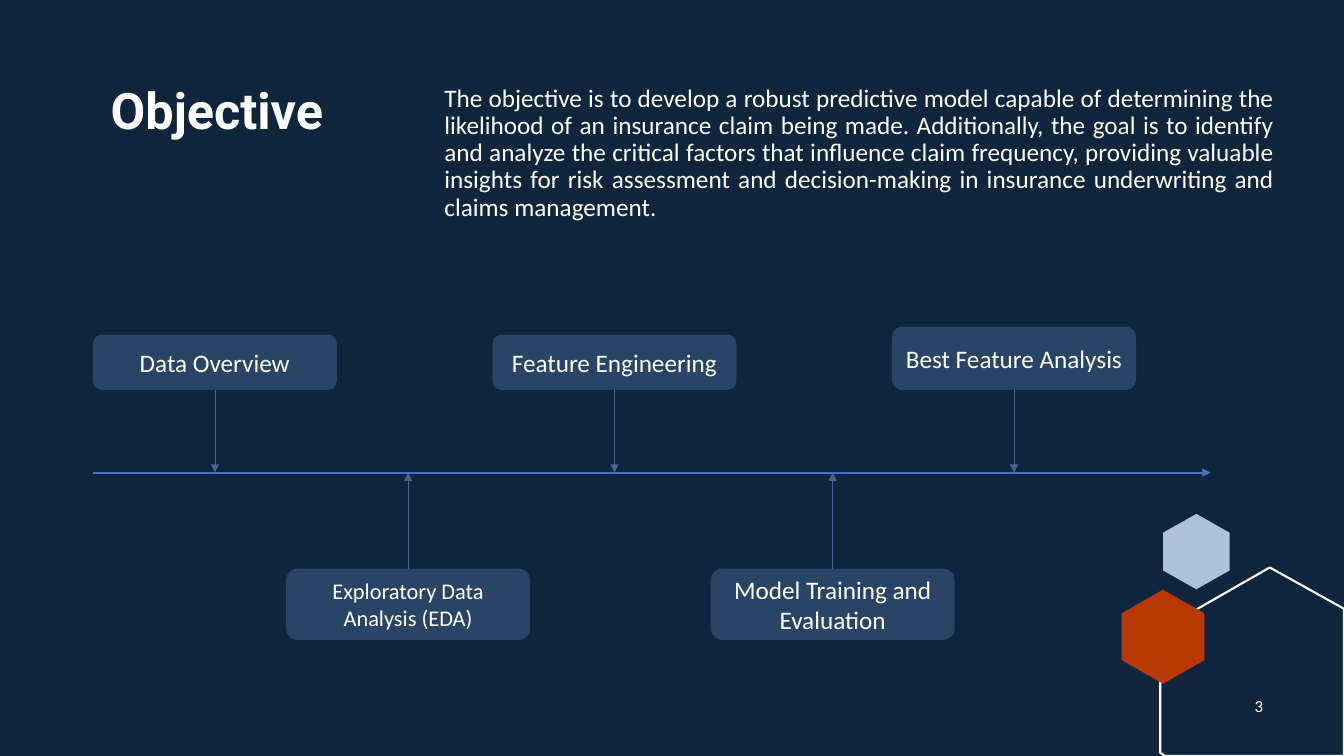
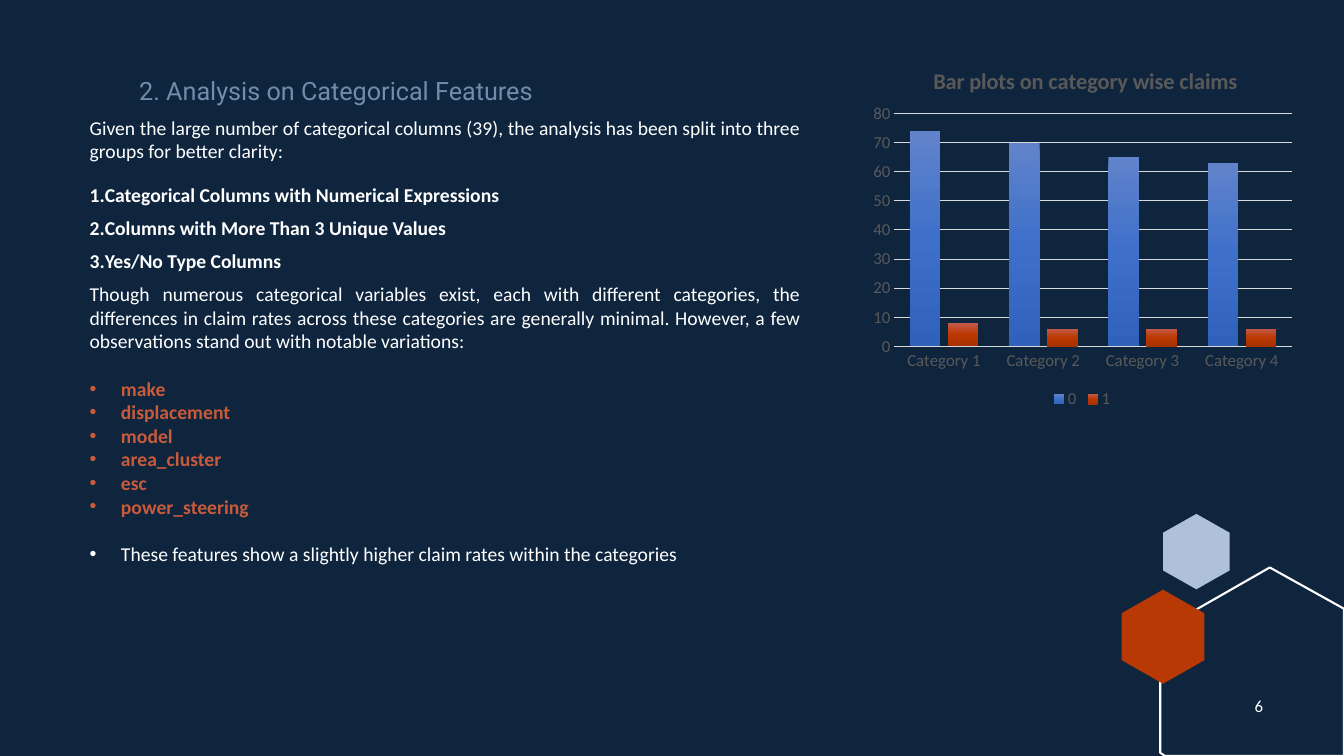
from copy import deepcopy
from dataclasses import dataclass, field
from typing import Any

from lxml.etree import SubElement
from pptx import Presentation
from pptx.chart.data import CategoryChartData
from pptx.dml.color import RGBColor
from pptx.enum.chart import XL_CHART_TYPE as ChartType
from pptx.enum.chart import XL_LEGEND_POSITION as LegendPosition
from pptx.enum.chart import XL_TICK_MARK as TickMark
from pptx.enum.shapes import MSO_CONNECTOR as Connector
from pptx.enum.shapes import MSO_SHAPE as Shape
from pptx.enum.text import MSO_ANCHOR as Anchor
from pptx.enum.text import PP_ALIGN as Align
from pptx.oxml import parse_xml
from pptx.oxml.ns import nsdecls, qn
from pptx.util import Cm, Pt

# Colours and fonts
NAVY = RGBColor(0x0F, 0x25, 0x3E)
WHITE = RGBColor(0xFF, 0xFF, 0xFF)
PALE_BLUE = RGBColor(0xAE, 0xC1, 0xD8)
ORANGE = RGBColor(0xB8, 0x39, 0x03)
STEEL = RGBColor(0x44, 0x66, 0x8D)
AXIS_BLUE = RGBColor(0x44, 0x72, 0xC4)
HEADING_BLUE = RGBColor(0x72, 0x8D, 0xAB)
RUST = RGBColor(0xC9, 0x5B, 0x3A)
LABEL_GREY = RGBColor(0x59, 0x59, 0x59)
GRID_GREY = RGBColor(0xD9, 0xD9, 0xD9)
NO_CLAIM_GRADIENT = (RGBColor(0x61, 0x83, 0xCB), RGBColor(0x3E, 0x70, 0xCA), RGBColor(0x30, 0x62, 0xBB))
CLAIM_GRADIENT = (RGBColor(0xC3, 0x5A, 0x4B), RGBColor(0xBB, 0x38, 0x00), RGBColor(0xA6, 0x32, 0x00))

BODY_FONT, TITLE_FONT = "Calibri", "Roboto"
SLIDE_WIDTH, SLIDE_HEIGHT = 33.87, 19.05
TIMELINE_Y = 11.91
STEP_WIDTH = 6.15


@dataclass
class Area:
    left: float
    top: float
    width: float
    height: float

    def lengths(self) -> tuple:
        return Cm(self.left), Cm(self.top), Cm(self.width), Cm(self.height)


@dataclass
class Para:
    text: str
    size: float = 14
    color: RGBColor = WHITE
    bold: bool = False
    font: str = BODY_FONT
    bullet: str = ""
    layout: dict[str, Any] = field(default_factory=dict)


@dataclass
class Step:
    label: str
    area: Area
    size: float = 18


@dataclass
class ClaimSeries:
    name: str
    values: tuple[float, ...]
    gradient: tuple[RGBColor, ...]


# Shared helpers
def apply(target: Any, formats: dict[str, Any]) -> None:
    for name, value in formats.items():
        setattr(target, name, value)


def style_font(font: Any, size: float, color: RGBColor, bold: bool = False, name: str = BODY_FONT) -> None:
    apply(font, {"size": Pt(size), "bold": bold, "name": name})
    font.color.rgb = color


def add_bullet(paragraph: Any, bullet: str) -> None:
    props = paragraph._p.get_or_add_pPr()
    if bullet == "number":
        apply_indent = (0, 0)
        SubElement(props, qn("a:buAutoNum"), type="arabicPeriod")
    else:
        apply_indent = (Cm(0.79), -Cm(0.79))
        SubElement(props, qn("a:buFont"), typeface="Arial")
        SubElement(props, qn("a:buChar"), char=bullet)
    for name, value in zip(("marL", "indent"), apply_indent):
        props.set(name, str(int(value)))


def write(frame: Any, paras: list[Para], anchor: Any = Anchor.TOP) -> None:
    apply(frame, {"word_wrap": True, "vertical_anchor": anchor})
    for index, para in enumerate(paras):
        paragraph = frame.paragraphs[0] if index == 0 else frame.add_paragraph()
        apply(paragraph, para.layout)
        if para.bullet:
            add_bullet(paragraph, para.bullet)
        run = paragraph.add_run()
        run.text = para.text
        style_font(run.font, para.size, para.color, para.bold, para.font)


def add_text(slide: Any, area: Area, paras: list[Para], anchor: Any = Anchor.TOP) -> None:
    write(slide.shapes.add_textbox(*area.lengths()).text_frame, paras, anchor)


def add_arrow(slide: Any, start: tuple, end: tuple, color: RGBColor, width: float) -> None:
    arrow = slide.shapes.add_connector(Connector.STRAIGHT, *map(Cm, start + end))
    arrow.line.color.rgb = color
    arrow.line.width = Pt(width)
    SubElement(arrow.line._get_or_add_ln(), qn("a:tailEnd"), type="triangle")
    SubElement(arrow._element.spPr, qn("a:effectLst"))


# Shared hexagon corner and page number
def add_outline(slide: Any, points: list[tuple], fill: RGBColor | None = None) -> None:
    corners = [(Cm(x), Cm(y)) for x, y in points]
    builder = slide.shapes.build_freeform(*corners[0])
    builder.add_line_segments(corners[1:], close=True)
    outline = builder.convert_to_shape()
    outline.shadow.inherit = False
    if fill is None:
        outline.fill.background()
        outline.line.color.rgb = WHITE
        outline.line.width = Pt(1.5)
    else:
        outline.fill.solid()
        outline.fill.fore_color.rgb = fill
        outline.line.fill.background()


def hexagon(center: float, top: float, width: float, height: float) -> list[tuple]:
    left, right = center - width / 2, center + width / 2
    upper, lower = top + height / 4, top + height * 3 / 4
    return [(center, top), (right, upper), (right, lower),
            (center, top + height), (left, lower), (left, upper)]


def new_slide(deck: Any, number: int) -> Any:
    slide = deck.slides.add_slide(deck.slide_layouts[6])
    add_outline(slide, hexagon(30.15, 12.95, 1.68, 1.9), PALE_BLUE)
    add_outline(slide, [(32, 14.3), (SLIDE_WIDTH, 15.34), (SLIDE_WIDTH, SLIDE_HEIGHT),
                        (29.36, SLIDE_HEIGHT), (29.24, 18.97), (29.24, 15.88)])
    add_outline(slide, hexagon(29.31, 14.86, 2.08, 2.37), ORANGE)
    add_text(slide, Area(31.09, 17.27, 1.27, 1.02),
             [Para(str(number), 12, layout={"alignment": Align.CENTER})], Anchor.MIDDLE)
    return slide


# Objective slide
def add_step(slide: Any, step: Step) -> None:
    area = step.area
    box = slide.shapes.add_shape(Shape.ROUNDED_RECTANGLE, *area.lengths())
    box.shadow.inherit = False
    box.fill.solid()
    box.fill.fore_color.rgb = STEEL
    tint = box._element.spPr.find(qn("a:solidFill"))[0]
    SubElement(tint, qn("a:alpha"), val="50000")
    box.line.fill.background()
    write(box.text_frame, [Para(step.label, step.size, layout={"alignment": Align.CENTER})], Anchor.MIDDLE)
    center = area.left + area.width / 2
    edge = area.top + area.height if area.top < TIMELINE_Y else area.top
    add_arrow(slide, (center, edge), (center, TIMELINE_Y), STEEL, 0.5)


def build_objective(deck: Any) -> None:
    slide = new_slide(deck, 3)
    add_text(slide, Area(2.54, 2.03, 12.95, 4.83),
             [Para("Objective", 36, bold=True, font=TITLE_FONT, layout={"line_spacing": 0.9})])
    add_text(slide, Area(10.95, 2.03, 21.41, 4.83), [Para(
        "The objective is to develop a robust predictive model capable of determining the likelihood "
        "of an insurance claim being made. Additionally, the goal is to identify and analyze the "
        "critical factors that influence claim frequency, providing valuable insights for risk "
        "assessment and decision-making in insurance underwriting and claims management.",
        18, layout={"alignment": Align.JUSTIFY, "line_spacing": 0.9})])

    # Timeline with steps above and below
    add_arrow(slide, (2.34, TIMELINE_Y), (30.51, TIMELINE_Y), AXIS_BLUE, 1.5)
    above_bottom = 9.83
    above = (("Data Overview", 1.4), ("Feature Engineering", 1.4), ("Best Feature Analysis", 1.6))
    for index, (label, height) in enumerate(above):
        add_step(slide, Step(label, Area(2.34 + 10.07 * index, above_bottom - height, STEP_WIDTH, height)))
    below = (("Exploratory Data Analysis (EDA)", 16), ("Model Training and Evaluation", 18))
    for index, (label, size) in enumerate(below):
        add_step(slide, Step(label, Area(7.21 + 10.7 * index, 14.33, STEP_WIDTH, 1.8), size))


# Categorical features slide
def place(parent: Any, position: int, **fractions: float) -> None:
    for old in parent.findall(qn("c:layout")):
        parent.remove(old)
    layout = parse_xml(f"<c:layout {nsdecls('c')}><c:manualLayout/></c:layout>")
    inner = layout[0]
    if "w" in fractions:
        SubElement(inner, qn("c:layoutTarget"), val="inner")
    for axis in ("x", "y"):
        SubElement(inner, qn(f"c:{axis}Mode"), val="edge")
    for name, value in fractions.items():
        SubElement(inner, qn(f"c:{name}"), val=str(value))
    parent.insert(position, layout)


def add_claims_chart(slide: Any) -> None:
    claims = (ClaimSeries("0", (74, 70, 65, 63), NO_CLAIM_GRADIENT),
              ClaimSeries("1", (8, 6, 6, 6), CLAIM_GRADIENT))
    data = CategoryChartData()
    data.categories = [f"Category {number}" for number in range(1, 5)]
    for entry in claims:
        data.add_series(entry.name, entry.values)
    area = Area(21.77, 1.09, 11, 9.32)
    chart = slide.shapes.add_chart(ChartType.COLUMN_CLUSTERED, *area.lengths(), data).chart
    style_font(chart.font, 12, LABEL_GREY)

    # Title, legend and plot area
    heading = chart.chart_title.text_frame.paragraphs[0].add_run()
    heading.text = "Bar plots on category wise claims"
    style_font(heading.font, 16, LABEL_GREY, True)
    place(chart.chart_title._element, 1, x=0.15, y=0.05)
    place(chart._chartSpace.chart.plotArea, 0, x=0.07, y=0.19, w=0.91, h=0.63)
    chart.has_legend = True
    apply(chart.legend, {"position": LegendPosition.BOTTOM, "include_in_layout": False})
    style_font(chart.legend.font, 12, LABEL_GREY)

    # Axes
    categories, values = chart.category_axis, chart.value_axis
    for axis in (categories, values):
        apply(axis, {"major_tick_mark": TickMark.NONE, "minor_tick_mark": TickMark.NONE})
        style_font(axis.tick_labels.font, 12, LABEL_GREY)
    apply(values, {"minimum_scale": 0, "maximum_scale": 80, "major_unit": 10, "has_major_gridlines": True})
    values.format.line.fill.background()
    for line, width in ((categories.format.line, 1), (values.major_gridlines.format.line, 0.75)):
        line.color.rgb = GRID_GREY
        line.width = Pt(width)

    # Columns
    plot = chart.plots[0]
    apply(plot, {"gap_width": 100, "overlap": -24, "vary_by_categories": False})
    for series, entry in zip(plot.series, claims):
        fill = series.format.fill
        fill.gradient()
        fill.gradient_angle = 270
        stops = series._element.find(".//" + qn("a:gsLst"))
        stops.append(deepcopy(stops[0]))
        for index, (stop, color) in enumerate(zip(fill.gradient_stops, entry.gradient)):
            stop.position = index / 2
            stop.color.rgb = color


def justified(after: float = 0) -> dict[str, Any]:
    return {"alignment": Align.JUSTIFY, "space_after": Pt(after)}


def build_categorical(deck: Any) -> None:
    slide = new_slide(deck, 6)
    add_text(slide, Area(0, 1.78, 16.94, 1.02),
             [Para("2. Analysis on Categorical Features", 18, HEADING_BLUE, font=TITLE_FONT,
                   layout={"alignment": Align.CENTER})])
    add_claims_chart(slide)

    groups = ("Categorical Columns with Numerical Expressions",
              "Columns with More Than 3 Unique Values", "Yes/No Type Columns")
    features = ("make", "displacement", "model", "area_cluster", "esc", "power_steering")
    section_gap = 17
    add_text(slide, Area(2.01, 2.79, 18.42, 11.61), [
        Para("Given the large number of categorical columns (39), the analysis has been split into "
             "three groups for better clarity:", layout=justified(14.6)),
        *(Para(group, bold=True, bullet="number", layout=justified(6.8)) for group in groups),
        Para("Though numerous categorical variables exist, each with different categories, the "
             "differences in claim rates across these categories are generally minimal. However, a "
             "few observations stand out with notable variations:", layout=justified(section_gap)),
        *(Para(feature, color=RUST, bold=True, bullet="•",
               layout=justified(section_gap if feature == features[-1] else 0)) for feature in features),
        Para("These features show a slightly higher claim rates within the categories",
             bullet="•", layout=justified()),
    ])


def main() -> None:
    deck = Presentation()
    apply(deck, {"slide_width": Cm(SLIDE_WIDTH), "slide_height": Cm(SLIDE_HEIGHT)})
    backdrop = deck.slide_master.background.fill
    backdrop.solid()
    backdrop.fore_color.rgb = NAVY
    build_objective(deck)
    build_categorical(deck)
    deck.save("out.pptx")


if __name__ == "__main__":
    main()
